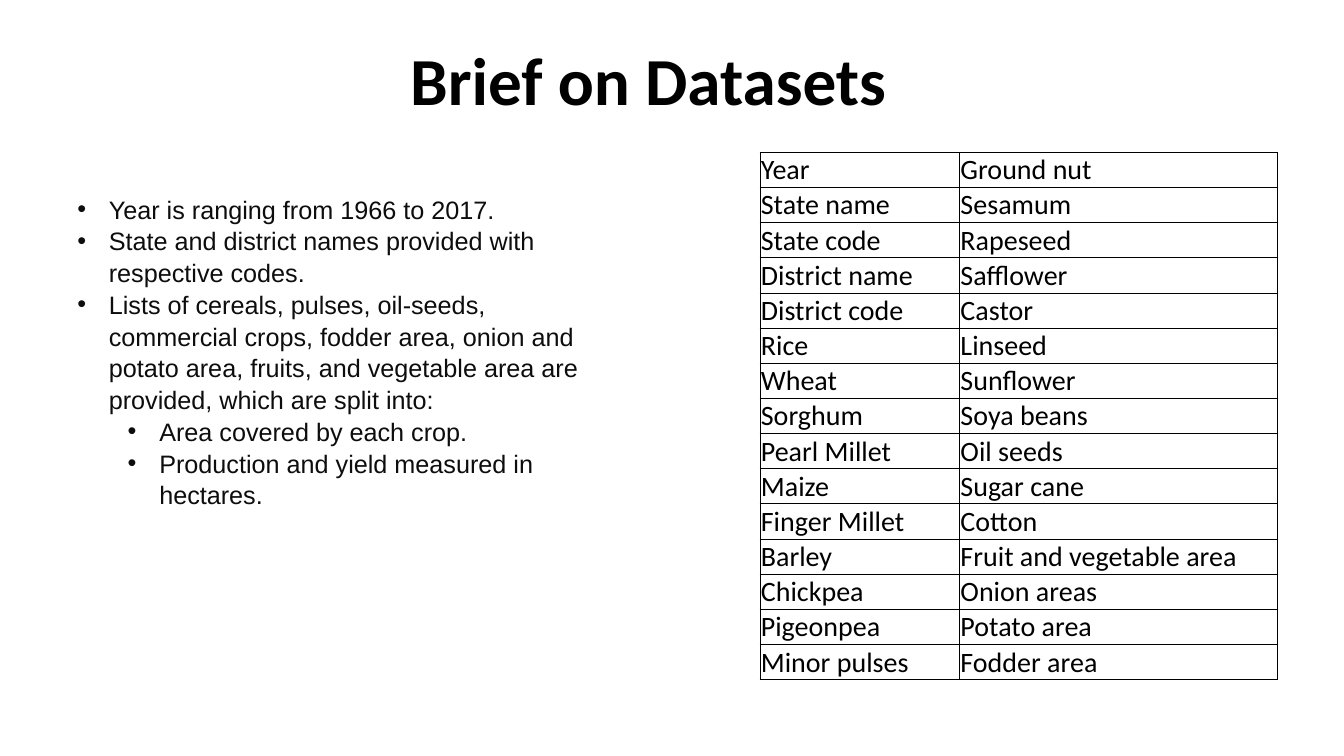
from dataclasses import dataclass

from lxml.etree import SubElement
from pptx import Presentation
from pptx.dml.color import RGBColor
from pptx.enum.text import MSO_ANCHOR, MSO_AUTO_SIZE, PP_ALIGN
from pptx.oxml.ns import qn
from pptx.slide import Slide
from pptx.table import _Cell
from pptx.text.text import _Paragraph
from pptx.util import Pt

COLOURS = {"black": "000000", "body": "0D0D0D"}
ROW_HEIGHT = 24.77
COLUMN_WIDTHS = (142.6, 226.8)
BULLET_HANG = 22.5
LEVEL_INDENT = 36


@dataclass
class Bullet:
    text: str
    level: int = 0


BULLETS = [
    Bullet("Year is ranging from 1966 to 2017."),
    Bullet("State and district names provided with respective codes."),
    Bullet("Lists of cereals, pulses, oil-seeds, commercial crops, fodder area, onion and "
           "potato area, fruits, and vegetable area are provided, which are split into:"),
    Bullet("Area covered by each crop.", 1),
    Bullet("Production and yield measured in hectares.", 1),
]

FIELDS = [
    ("Year", "Ground nut"),
    ("State name", "Sesamum"),
    ("State code", "Rapeseed"),
    ("District name", "Safflower"),
    ("District code", "Castor"),
    ("Rice", "Linseed"),
    ("Wheat", "Sunflower"),
    ("Sorghum", "Soya beans"),
    ("Pearl Millet", "Oil seeds"),
    ("Maize", "Sugar cane"),
    ("Finger Millet", "Cotton"),
    ("Barley", "Fruit and vegetable area"),
    ("Chickpea", "Onion areas"),
    ("Pigeonpea", "Potato area"),
    ("Minor pulses", "Fodder area"),
]


def set_font(para: _Paragraph, name: str, size: float, colour: str, bold: bool = False) -> None:
    para.font.name = name
    para.font.size = Pt(size)
    para.font.bold = bold
    para.font.color.rgb = RGBColor.from_string(COLOURS[colour])


def add_title(page: Slide) -> None:
    title = page.shapes.title
    title.left, title.top, title.width, title.height = Pt(285.8), Pt(23.8), Pt(388), Pt(65.5)
    frame = title.text_frame
    frame.text = "Brief on Datasets"
    frame.word_wrap = True
    frame.auto_size = MSO_AUTO_SIZE.NONE
    frame.vertical_anchor = MSO_ANCHOR.TOP
    para = frame.paragraphs[0]
    para.alignment = PP_ALIGN.LEFT
    set_font(para, "Calibri", 48, "black", bold=True)


def add_bullets(page: Slide) -> None:
    box = page.shapes.add_textbox(Pt(48.2), Pt(133.9), Pt(388), Pt(247))
    frame = box.text_frame
    frame.word_wrap = True
    for index, bullet in enumerate(BULLETS):
        para = frame.add_paragraph() if index else frame.paragraphs[0]
        para.text = bullet.text
        para.level = bullet.level
        para.line_spacing = 1.05
        set_font(para, "Arial", 18, "body")
        properties = para._p.get_or_add_pPr()
        properties.set("marL", str(Pt(BULLET_HANG + LEVEL_INDENT * bullet.level)))
        properties.set("indent", str(-Pt(BULLET_HANG)))
        SubElement(properties, qn("a:buFont"), typeface="Arial")
        SubElement(properties, qn("a:buChar"), char="•")


def add_borders(cell: _Cell) -> None:
    """Draw a thin line on all four sides; borders must precede the cell fill."""
    properties = cell._tc.get_or_add_tcPr()
    for side in ("lnL", "lnR", "lnT", "lnB"):
        line = SubElement(properties, qn(f"a:{side}"), w=str(Pt(0.5)))
        fill = SubElement(line, qn("a:solidFill"))
        SubElement(fill, qn("a:srgbClr"), val=COLOURS["black"])


def add_field_table(page: Slide) -> None:
    frame = page.shapes.add_table(len(FIELDS), len(COLUMN_WIDTHS), Pt(542.9), Pt(108.7),
                                  Pt(sum(COLUMN_WIDTHS)), Pt(ROW_HEIGHT * len(FIELDS)))
    table = frame.table
    table.first_row = table.horz_banding = False
    for column, width in zip(table.columns, COLUMN_WIDTHS):
        column.width = Pt(width)
    for row, names in zip(table.rows, FIELDS):
        row.height = Pt(ROW_HEIGHT)
        for cell, name in zip(row.cells, names):
            cell.text = name
            cell.margin_left = cell.margin_right = cell.margin_top = Pt(0.6)
            cell.margin_bottom = Pt(0)
            cell.vertical_anchor = MSO_ANCHOR.BOTTOM
            set_font(cell.text_frame.paragraphs[0], "Calibri", 20, "black")
            add_borders(cell)
            cell.fill.background()


def main() -> None:
    deck = Presentation()
    deck.slide_width, deck.slide_height = Pt(960), Pt(540)
    page = deck.slides.add_slide(deck.slide_layouts.get_by_name("Title Only"))
    add_title(page)
    add_field_table(page)
    add_bullets(page)
    deck.save("out.pptx")


if __name__ == "__main__":
    main()
